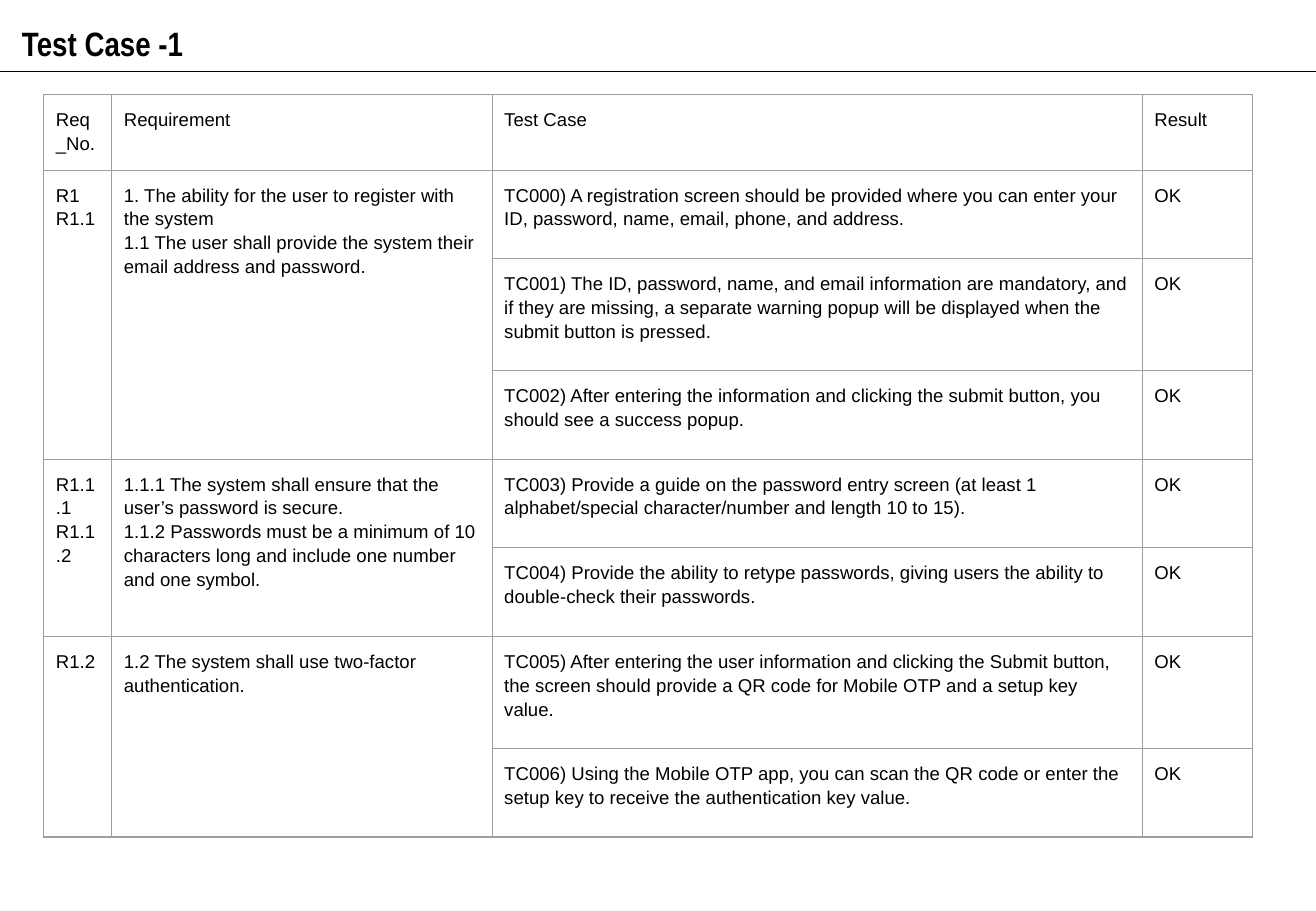
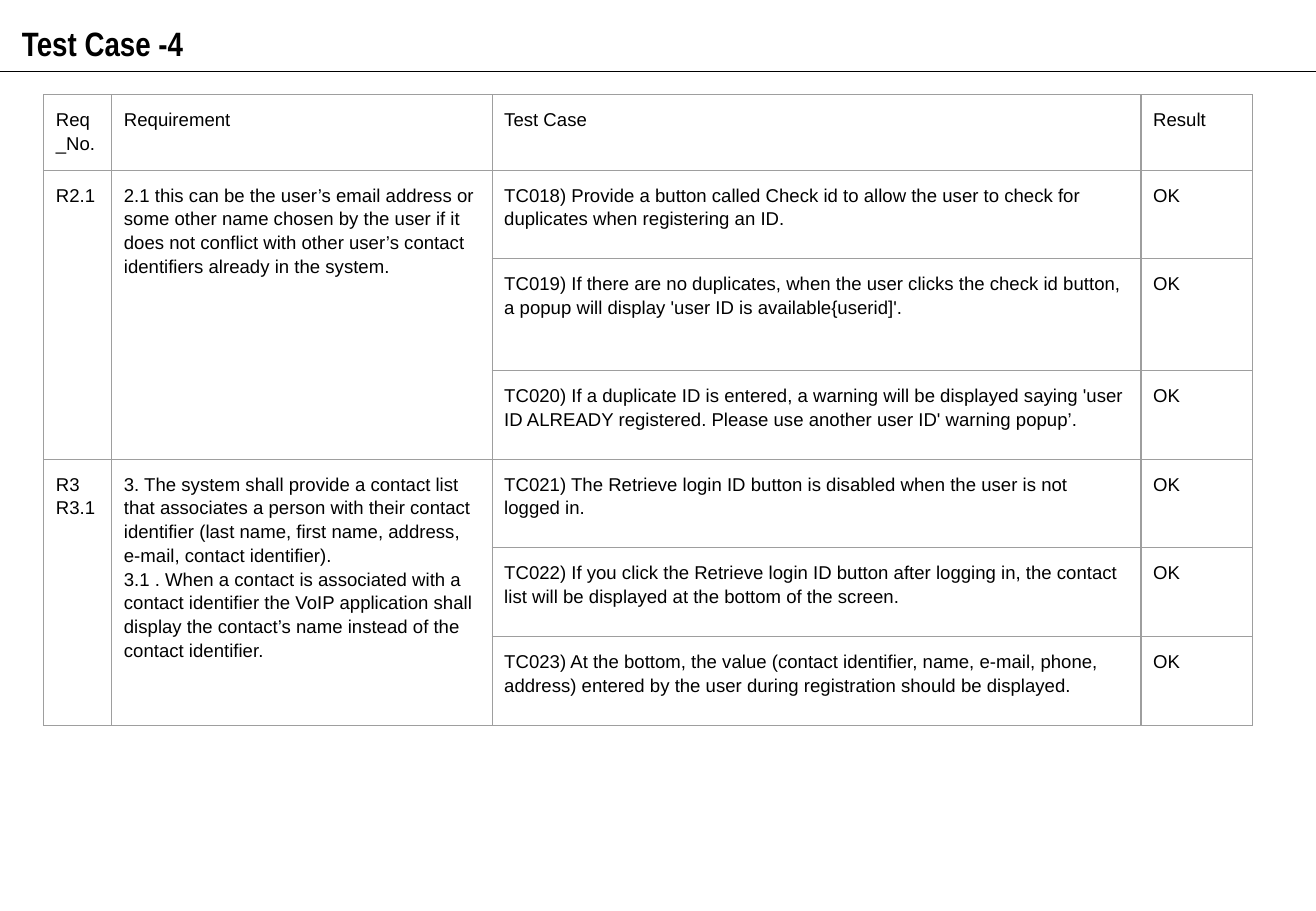
from dataclasses import dataclass

from lxml import etree
from pptx import Presentation
from pptx.dml.color import RGBColor
from pptx.enum.shapes import MSO_CONNECTOR
from pptx.enum.text import MSO_ANCHOR, MSO_AUTO_SIZE, PP_ALIGN
from pptx.oxml.ns import qn
from pptx.slide import Slide
from pptx.table import Table, _Cell
from pptx.text.text import TextFrame
from pptx.util import Inches, Pt

LEFT = PP_ALIGN.LEFT
TOP = MSO_ANCHOR.TOP
GROW = MSO_AUTO_SIZE.SHAPE_TO_FIT_TEXT
LINE = MSO_CONNECTOR.STRAIGHT

COLORS = {"ink": "000000", "grid": "9E9E9E"}
WIDTH, HEIGHT = 10.83, 7.5
RULE_Y = 0.59
STROKE = Pt(0.75)
HEAD = ("Req_No.", "Requirement", "Test Case", "Result")
HEAD_H, ROW_H, TALL_H = 0.54, 0.73, 0.92
PAD = 0.1


@dataclass
class Case:
    text: str
    height: float = ROW_H
    result: str = "OK"


@dataclass
class Group:
    """Test cases that share one requirement cell."""
    number: str
    need: str
    cases: list[Case]


@dataclass
class Page:
    title: str
    cols: tuple[float, ...]
    groups: list[Group]


PAGES = [
    Page("Test Case -1", (0.56, 3.13, 5.35, 0.91), [
        Group(
            "R1\nR1.1",
            "1. The ability for the user to register with the system\n"
            "1.1 The user shall provide the system their email address and password.",
            [
                Case("TC000) A registration screen should be provided where you can "
                     "enter your ID, password, name, email, phone, and address."),
                Case("TC001) The ID, password, name, and email information are "
                     "mandatory, and if they are missing, a separate warning popup "
                     "will be displayed when the submit button is pressed.", TALL_H),
                Case("TC002) After entering the information and clicking the submit "
                     "button, you should see a success popup."),
            ]),
        Group(
            "R1.1.1\nR1.1.2",
            "1.1.1 The system shall ensure that the user’s password is secure.\n"
            "1.1.2 Passwords must be a minimum of 10 characters long and include "
            "one number and one symbol.",
            [
                Case("TC003) Provide a guide on the password entry screen (at least 1 "
                     "alphabet/special character/number and length 10 to 15)."),
                Case("TC004) Provide the ability to retype passwords, giving users "
                     "the ability to double-check their passwords."),
            ]),
        Group(
            "R1.2",
            "1.2 The system shall use two-factor authentication.",
            [
                Case("TC005) After entering the user information and clicking the "
                     "Submit button, the screen should provide a QR code for Mobile "
                     "OTP and a setup key value.", TALL_H),
                Case("TC006) Using the Mobile OTP app, you can scan the QR code or "
                     "enter the setup key to receive the authentication key value."),
            ]),
    ]),
    Page("Test Case -4", (0.56, 3.13, 5.34, 0.92), [
        Group(
            "R2.1",
            "2.1 this can be the user’s email address or some other name chosen by "
            "the user if it does not conflict with other user’s contact identifiers "
            "already in the system.",
            [
                Case("TC018) Provide a button called Check id to allow the user to "
                     "check for duplicates when registering an ID."),
                Case("TC019) If there are no duplicates, when the user clicks the "
                     "check id button, a popup will display 'user ID is "
                     "available{userid]'.", TALL_H),
                Case("TC020) If a duplicate ID is entered, a warning will be displayed "
                     "saying 'user ID ALREADY registered. Please use another user ID' "
                     "warning popup’."),
            ]),
        Group(
            "R3\nR3.1",
            "3. The system shall provide a contact list that associates a person with "
            "their contact identifier (last name, first name, address, e-mail, "
            "contact identifier).\n"
            "3.1 . When a contact is associated with a contact identifier the VoIP "
            "application shall display the contact’s name instead of the contact "
            "identifier.",
            [
                Case("TC021) The Retrieve login ID button is disabled when the user "
                     "is not logged in."),
                Case("TC022) If you click the Retrieve login ID button after logging "
                     "in, the contact list will be displayed at the bottom of the "
                     "screen."),
                Case("TC023) At the bottom, the value (contact identifier, name, "
                     "e-mail, phone, address) entered by the user during registration "
                     "should be displayed."),
            ]),
    ]),
]


def write(frame: TextFrame, text: str, *, size: float = 11, font: str = "Arial",
          bold: bool = False, lead: float = 1.15) -> None:
    """Fill a frame, one paragraph for each line of text."""
    frame.word_wrap = True
    frame.text = text
    for para in frame.paragraphs:
        para.alignment = LEFT
        para.line_spacing = lead
        for run in para.runs:
            run.font.size = Pt(size)
            run.font.name = font
            run.font.bold = bold
            run.font.color.rgb = RGBColor.from_string(COLORS["ink"])


def add_title(slide: Slide, text: str) -> None:
    title = slide.shapes.title
    title.left, title.top = Inches(0.08), Inches(0.07)
    title.width, title.height = Inches(7.81), Inches(0.44)
    frame = title.text_frame
    frame.margin_left = frame.margin_right = Inches(0.1)
    frame.margin_top = frame.margin_bottom = Inches(0.05)
    frame.vertical_anchor = TOP
    frame.auto_size = GROW
    write(frame, text, size=20, font="Arial Narrow", bold=True, lead=1.2)


def add_rule(slide: Slide) -> None:
    rule = slide.shapes.add_connector(
        LINE, Inches(0), Inches(RULE_Y), Inches(WIDTH), Inches(RULE_Y))
    rule.line.color.rgb = RGBColor.from_string(COLORS["ink"])
    rule.line.width = STROKE
    etree.SubElement(rule._element.spPr, qn("a:effectLst"))


def style_cell(cell: _Cell) -> None:
    """Clear the fill, set the margins and draw the four borders."""
    cell.fill.background()
    cell.margin_left = cell.margin_right = Inches(PAD)
    cell.margin_top = cell.margin_bottom = Inches(PAD)
    cell.vertical_anchor = TOP
    props = cell._tc.get_or_add_tcPr()
    for spot, side in enumerate(("lnL", "lnR", "lnT", "lnB")):
        edge = etree.Element(qn(f"a:{side}"), w=str(STROKE))
        fill = etree.SubElement(edge, qn("a:solidFill"))
        etree.SubElement(fill, qn("a:srgbClr"), val=COLORS["grid"])
        props.insert(spot, edge)


def fill_group(table: Table, top: int, group: Group) -> int:
    """Write one group from row top and return the next free row."""
    end = top + len(group.cases)
    for col, text in enumerate((group.number, group.need)):
        cell = table.cell(top, col)
        cell.merge(table.cell(end - 1, col))
        write(cell.text_frame, text)
    for row, case in enumerate(group.cases, top):
        write(table.cell(row, 2).text_frame, case.text)
        write(table.cell(row, 3).text_frame, case.result)
    return end


def add_grid(slide: Slide, page: Page) -> None:
    rows = [HEAD_H] + [case.height for group in page.groups for case in group.cases]
    table = slide.shapes.add_table(
        len(rows), len(page.cols), Inches(0.36), Inches(0.78),
        Inches(sum(page.cols)), Inches(sum(rows))).table
    table.first_row = table.horz_banding = False
    for col, width in zip(table.columns, page.cols):
        col.width = Inches(width)
    for row, height in zip(table.rows, rows):
        row.height = Inches(height)
    for cell in table.iter_cells():
        style_cell(cell)

    # Header row, then the groups below it
    for col, text in enumerate(HEAD):
        write(table.cell(0, col).text_frame, text)
    top = 1
    for group in page.groups:
        top = fill_group(table, top, group)


def main() -> None:
    deck = Presentation()
    deck.slide_width, deck.slide_height = Inches(WIDTH), Inches(HEIGHT)
    layout = deck.slide_layouts.get_by_name("Title Only")
    for page in PAGES:
        slide = deck.slides.add_slide(layout)
        add_rule(slide)
        add_title(slide, page.title)
        add_grid(slide, page)
    deck.save("out.pptx")


if __name__ == "__main__":
    main()
